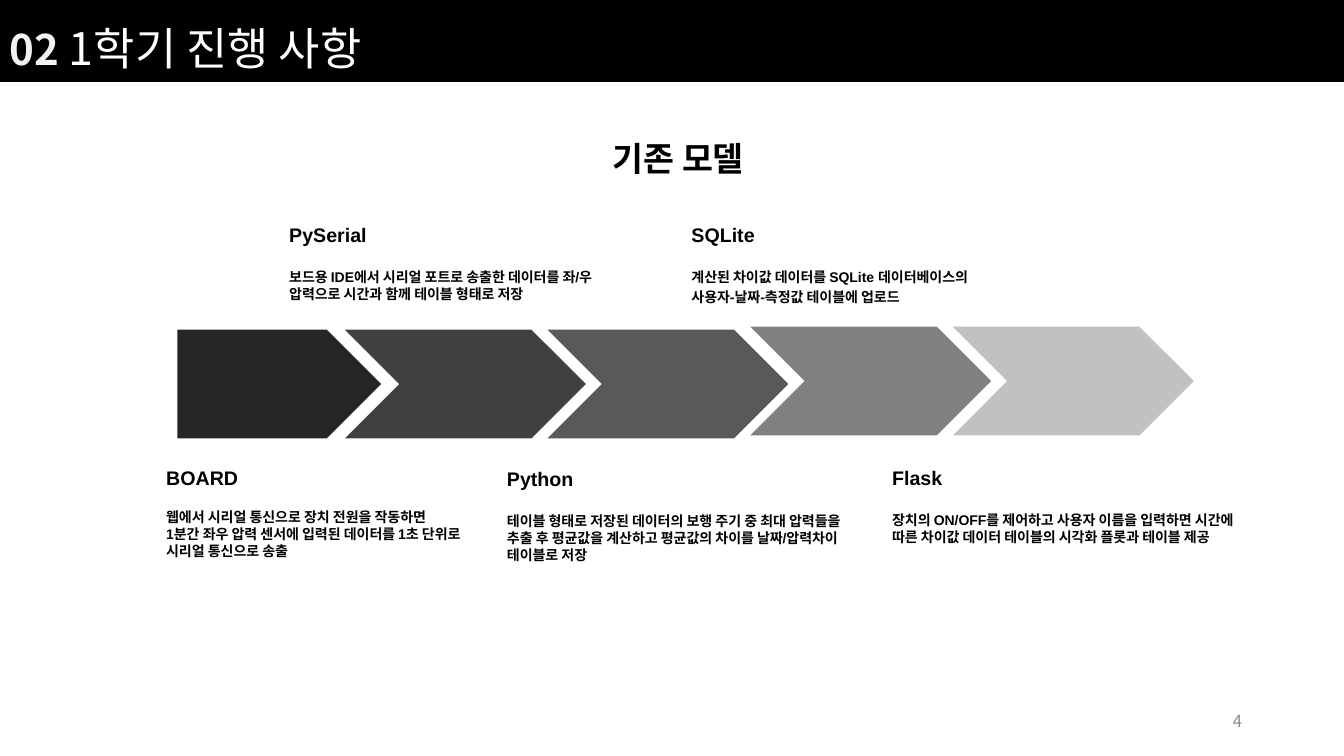
from dataclasses import dataclass

from lxml.etree import SubElement
from pptx import Presentation
from pptx.dml.color import RGBColor as RGB
from pptx.enum.shapes import MSO_SHAPE as SHAPE
from pptx.enum.text import MSO_ANCHOR as ANCHOR, MSO_AUTO_SIZE as AUTO, PP_ALIGN as ALIGN
from pptx.oxml.ns import qn
from pptx.util import Inches, Pt


@dataclass(frozen=True)
class Theme:
    sans: str = "Arial"
    korean: str = "Noto Sans CJK KR"
    black: str = "000000"
    white: str = "FFFFFF"
    off_white: str = "F2F2F2"
    grey: str = "8B8B8B"
    steps: tuple = ("262626", "404040", "595959", "808080", "AFABAB")
    section: int = 32
    number: int = 30
    heading: int = 24
    label: int = 14
    page: int = 12
    body: int = 10


class SlideBuilder:
    def __init__(self, prs, theme):
        self.theme = theme
        self.slide = prs.slides.add_slide(prs.slide_layouts[6])

    def style(self, font, size, color, bold=False, name=None):
        font.size, font.bold = Pt(size), bold
        font.color.rgb = RGB.from_string(color)
        font.name = name or self.theme.korean
        SubElement(font._element, qn("a:ea"), typeface=self.theme.korean)

    def shape(self, parent, kind, x, y, w, h, color, alpha=None):
        sp = parent.add_shape(kind, Inches(x), Inches(y), Inches(w), Inches(h))
        sp.shadow.inherit = False
        sp.fill.solid()
        sp.fill.fore_color.rgb = RGB.from_string(color)
        sp.line.fill.background()
        if alpha:
            clr = sp._element.spPr.find(qn("a:solidFill"))[0]
            SubElement(clr, qn("a:alpha"), val=str(alpha * 1000))
        return sp

    def text_frame(self, x, y, w, h, auto=AUTO.SHAPE_TO_FIT_TEXT):
        box = self.slide.shapes.add_textbox(Inches(x), Inches(y), Inches(w), Inches(h))
        tf = box.text_frame
        tf.word_wrap, tf.auto_size = True, auto
        return tf

    def line(self, x, y, w, h, text, size, color, align, bold=False, auto=AUTO.SHAPE_TO_FIT_TEXT):
        tf = self.text_frame(x, y, w, h, auto)
        p = tf.paragraphs[0]
        p.text, p.alignment = text, align
        self.style(p.font, size, color, bold)
        return tf

    def title_bar(self, number, title):
        t = self.theme
        sp = self.shape(self.slide.shapes, SHAPE.RECTANGLE, 0, 0, 13.33, 0.81, t.black)
        sp.line.color.rgb = RGB.from_string(t.black)
        sp.line.width = Pt(1)
        p = self.text_frame(0, 0.16, 4.4, 0.64).paragraphs[0]
        for text, size, color, bold in ((number + " ", t.number, t.off_white, True),
                                        (title, t.section, t.white, False)):
            r = p.add_run()
            r.text = text
            self.style(r.font, size, color, bold)

    def arrows(self):
        group = self.slide.shapes.add_group_shape().shapes
        first, *middle, last = self.theme.steps
        self.shape(group, SHAPE.PENTAGON, 1.76, 3.27, 2.02, 1.08, first)
        for i, color in enumerate([*middle, last]):
            y = 3.27 if i < 2 else 3.24
            alpha = 75 if color == last else None
            self.shape(group, SHAPE.CHEVRON, 3.42 + 2.01 * i, y, 2.39, 1.08, color, alpha)

    def step(self, x, y, w, h, label, lines, gap=16, leading=0):
        t = self.theme
        tf = self.text_frame(x, y, w, h)
        for i, text in enumerate([label, *lines]):
            p = tf.paragraphs[0] if i == 0 else tf.add_paragraph()
            p.text = text
            if i:
                p.space_before = Pt(gap if i == 1 else leading)
            self.style(p.font, t.body if i else t.label, t.black, True, t.sans)


def main():
    prs = Presentation()
    prs.slide_width, prs.slide_height = Inches(13.33), Inches(7.5)
    theme = Theme()
    s = SlideBuilder(prs, theme)

    # Page number, title bar and heading
    page = s.line(9.42, 6.95, 3, 0.4, "4", theme.page, theme.grey, ALIGN.RIGHT, auto=AUTO.NONE)
    page.vertical_anchor = ANCHOR.MIDDLE
    s.title_bar("02", "1학기 진행 사항")
    s.line(5.58, 1.32, 2.37, 0.5, "기존 모델 ", theme.heading, theme.black, ALIGN.CENTER, True)

    # Process arrows
    s.arrows()

    # Steps above the arrows
    s.step(2.77, 2.16, 3.3, 0.9, "PySerial",
           ["보드용 IDE에서 시리얼 포트로 송출한 데이터를 좌/우 압력으로 시간과 함께 테이블 형태로 저장"])
    s.step(6.76, 2.16, 3.67, 0.86, "SQLite",
           ["계산된 차이값 데이터를 SQLite 데이터베이스의",
            "사용자-날짜-측정값 테이블에 업로드"], leading=2)

    # Steps below the arrows
    s.step(1.55, 4.57, 3.67, 1.03, "BOARD",
           ["웹에서 시리얼 통신으로 장치 전원을 작동하면",
            "1분간 좌우 압력 센서에 입력된 데이터를 1초 단위로",
            "시리얼 통신으로 송출"], gap=14)
    s.step(4.93, 4.58, 3.67, 1, "Python",
           ["테이블 형태로 저장된 데이터의 보행 주기 중 최대 압력들을 추출 후 평균값을 계산하고 "
            "평균값의 차이를 날짜/압력차이 테이블로 저장"])
    s.step(8.75, 4.57, 3.67, 1, "Flask",
           ["장치의 ON/OFF를 제어하고 사용자 이름을 입력하면 시간에 따른 차이값 데이터 테이블의 "
            "시각화 플롯과 테이블 제공"])

    prs.save("out.pptx")


if __name__ == "__main__":
    main()
